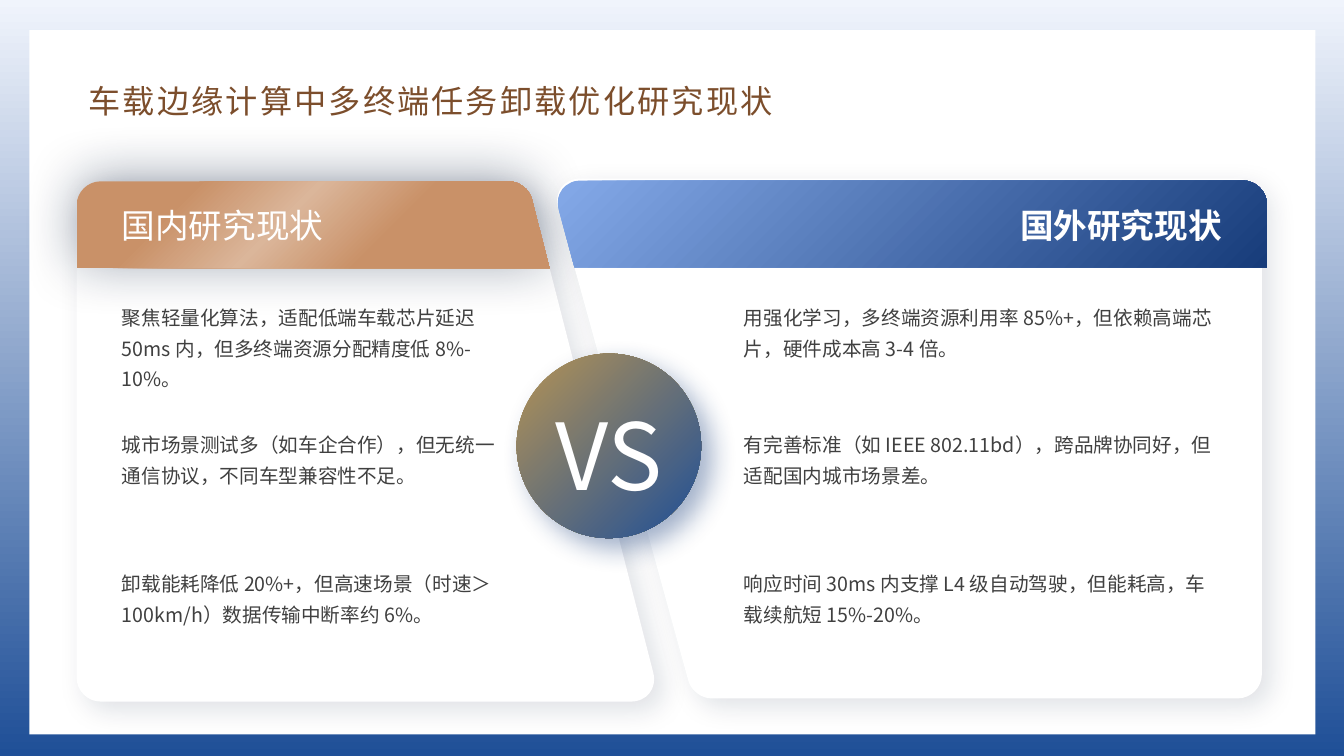
import pptx
import pptx.util
import pptx.dml.color
import pptx.enum.shapes
import pptx.enum.text
import pptx.oxml.ns
import lxml.etree

Cm = pptx.util.Cm
Pt = pptx.util.Pt
qn = pptx.oxml.ns.qn
ALIGN = pptx.enum.text.PP_ALIGN
FIT = pptx.enum.text.MSO_AUTO_SIZE
SHAPE = pptx.enum.shapes.MSO_SHAPE
HUES = {
    "white": "FFFFFF", "mist": "F0F4FC", "blue": "1F4F97",
    "brown": "7C4E2C", "clay": "C99168", "sand": "DBB69A",
    "sky": "84A9E8", "navy": "173C7A", "gold": "A78D5B",
    "text": "404040", "shade": "0C1E3D",
}


class Deck:
    font = "Noto Sans CJK SC"

    def __init__(self):
        self.file = pptx.Presentation()
        self.file.slide_width = Cm(33.87)
        self.file.slide_height = Cm(19.05)
        self.slide = self.file.slides.add_slide(self.file.slide_layouts[5])
        self.shapes = self.slide.shapes

    def blend(self, fill, node, stops, angle):
        fill.gradient()
        fill.gradient_angle = 360 - angle
        group = next(node.iter(qn("a:gsLst")))
        for old in list(group):
            group.remove(old)
        for place, hue in stops:
            stop = lxml.etree.SubElement(group, qn("a:gs"), pos=str(place * 1000))
            lxml.etree.SubElement(stop, qn("a:srgbClr"), val=HUES[hue])

    def ground(self, stops):
        self.blend(self.slide.background.fill, self.slide.element, stops, 90)

    def paint(self, shape, fill, shadow=None):
        shape.shadow.inherit = False
        shape.line.fill.background()
        if isinstance(fill, str):
            shape.fill.solid()
            shape.fill.fore_color.rgb = pptx.dml.color.RGBColor.from_string(HUES[fill])
        else:
            self.blend(shape.fill, shape.element, fill, 45)
        if shadow:
            hue, alpha, blur, dist, angle = shadow
            effect = shape.element.spPr.find(qn("a:effectLst"))
            outer = lxml.etree.SubElement(
                effect, qn("a:outerShdw"), blurRad=str(Pt(blur)), dist=str(Pt(dist)),
                dir=str(angle * 60000), algn="ctr", rotWithShape="0")
            color = lxml.etree.SubElement(outer, qn("a:srgbClr"), val=HUES[hue])
            lxml.etree.SubElement(color, qn("a:alpha"), val=str(alpha * 1000))
        return shape

    def block(self, kind, box, fill, shadow=None):
        return self.paint(self.shapes.add_shape(kind, *map(Cm, box)), fill, shadow)

    def panel(self, corners, fill, shadow=None):
        dots, bends = [], {}
        for i, (x, y, cut) in enumerate(corners):
            if not cut:
                dots.append((x, y))
                continue
            grips = []
            for a, b, _ in (corners[i - 1], corners[(i + 1) % len(corners)]):
                part = cut / ((a - x) ** 2 + (b - y) ** 2) ** 0.5
                dots.append((x + (a - x) * part, y + (b - y) * part))
                grips.append((x + (a - x) * part * 0.45, y + (b - y) * part * 0.45))
            bends[len(dots) - 1] = grips
        dots = [(Cm(x), Cm(y)) for x, y in dots]
        build = self.shapes.build_freeform(*dots[0])
        build.add_line_segments(dots[1:], close=True)
        shape = build.convert_to_shape()
        steps = list(next(shape.element.iter(qn("a:path"))))
        for spot, grips in bends.items():
            step = steps[spot]
            step.tag = qn("a:cubicBezTo")
            for n, (x, y) in enumerate(grips):
                point = lxml.etree.Element(qn("a:pt"), x=str(Cm(x) - shape.left),
                                           y=str(Cm(y) - shape.top))
                step.insert(n, point)
        return self.paint(shape, fill, shadow)

    def style(self, frame, words, size, hue, bold=False, align=ALIGN.LEFT,
              lead=None, after=None, track=None):
        frame.word_wrap = True
        frame.vertical_anchor = pptx.enum.text.MSO_ANCHOR.TOP
        para = frame.paragraphs[0]
        para.text = words
        para.alignment = align
        if lead:
            para.line_spacing = lead
        if after:
            para.space_after = Pt(after)
        font = para.font
        font.size = Pt(size)
        font.bold = bold
        font.color.rgb = pptx.dml.color.RGBColor.from_string(HUES[hue])
        font.name = self.font
        props = para._p.pPr.find(qn("a:defRPr"))
        lxml.etree.SubElement(props, qn("a:ea"), typeface=self.font)
        if track:
            props.set("spc", str(int(track * 100)))

    def title(self, box, words):
        head = self.shapes.title
        head.left, head.top, head.width, head.height = map(Cm, box)
        head.text_frame.auto_size = FIT.NONE
        self.style(head.text_frame, words, 23, "brown", lead=1.3, after=10, track=1.5)

    def label(self, box, words, size, hue="white", inset=True, **look):
        shape = self.shapes.add_textbox(*map(Cm, box))
        frame = shape.text_frame
        frame.auto_size = FIT.SHAPE_TO_FIT_TEXT
        if not inset:
            frame.margin_left = frame.margin_right = 0
            frame.margin_top = frame.margin_bottom = 0
        self.style(frame, words, size, hue, **look)
        return shape


def main():
    deck = Deck()
    deck.ground([(0, "mist"), (100, "blue")])
    sheet = deck.block(SHAPE.RECTANGLE, (0.74, 0.76, 32.41, 17.75), "white")
    deck.shapes._spTree.insert(2, sheet.element)
    deck.title((1.98, 1.63, 19.25, 1.52), "车载边缘计算中多终端任务卸载优化研究现状")

    soft = ("shade", 13, 19, 9, 45)
    clay = [(0, "clay"), (22, "clay"), (44, "sand"),
            (65, "clay"), (82, "clay"), (100, "clay")]
    deck.panel([(1.93, 4.57, 0.61), (13.29, 4.57, 0.46),
                (16.65, 17.68, 0.76), (1.93, 17.68, 0.61)], "white", soft)
    deck.panel([(1.93, 4.57, 0.61), (13.29, 4.57, 0.46),
                (13.85, 6.76, 0), (1.93, 6.76, 0)], clay, ("shade", 40, 40, 3, 270))
    deck.panel([(13.86, 4.5, 0.78), (31.8, 4.5, 0.61),
                (31.8, 17.6, 0.61), (17.47, 17.6, 0.46)], "white", soft)
    deck.panel([(13.88, 4.55, 0.78), (31.93, 4.55, 0.61),
                (31.93, 6.74, 0), (14.48, 6.74, 0)], [(0, "sky"), (100, "navy")])

    deck.label((2.82, 5.03, 6.83, 1.27), "国内研究现状", 24)
    deck.label((23.8, 5.03, 7.24, 1.27), "国外研究现状", 24, bold=True, align=ALIGN.RIGHT)

    disc = deck.block(SHAPE.OVAL, (13.02, 8.91, 4.65, 4.65),
                      [(9, "gold"), (100, "blue")], ("navy", 40, 19, 11, 45))
    mark = deck.label((13.13, 9.91, 4.42, 3.07), "VS", 66, align=ALIGN.CENTER)
    deck.shapes.add_group_shape([disc, mark])

    sides = [
        (3.07, 9.6, [
            (3, "聚焦轻量化算法，适配低端车载芯片延迟 50ms 内，但多终端资源分配精度低 8%-10%。"),
            (2, "城市场景测试多（如车企合作），但无统一通信协议，不同车型兼容性不足。"),
            (2, "卸载能耗降低 20%+，但高速场景（时速＞100km/h）数据传输中断率约 6%。"),
        ]),
        (18.75, 12.07, [
            (2, "用强化学习，多终端资源利用率 85%+，但依赖高端芯片，硬件成本高 3-4 倍。"),
            (2, "有完善标准（如 IEEE 802.11bd），跨品牌协同好，但适配国内城市场景差。"),
            (2, "响应时间 30ms 内支撑 L4 级自动驾驶，但能耗高，车载续航短 15%-20%。"),
        ]),
    ]
    for left, width, notes in sides:
        for top, (lines, words) in zip((7.54, 10.74, 14.24), notes):
            deck.label((left, top, width, lines * 0.78), words, 14, "text",
                       inset=False, lead=1.3)
    deck.file.save("out.pptx")


if __name__ == "__main__":
    main()
